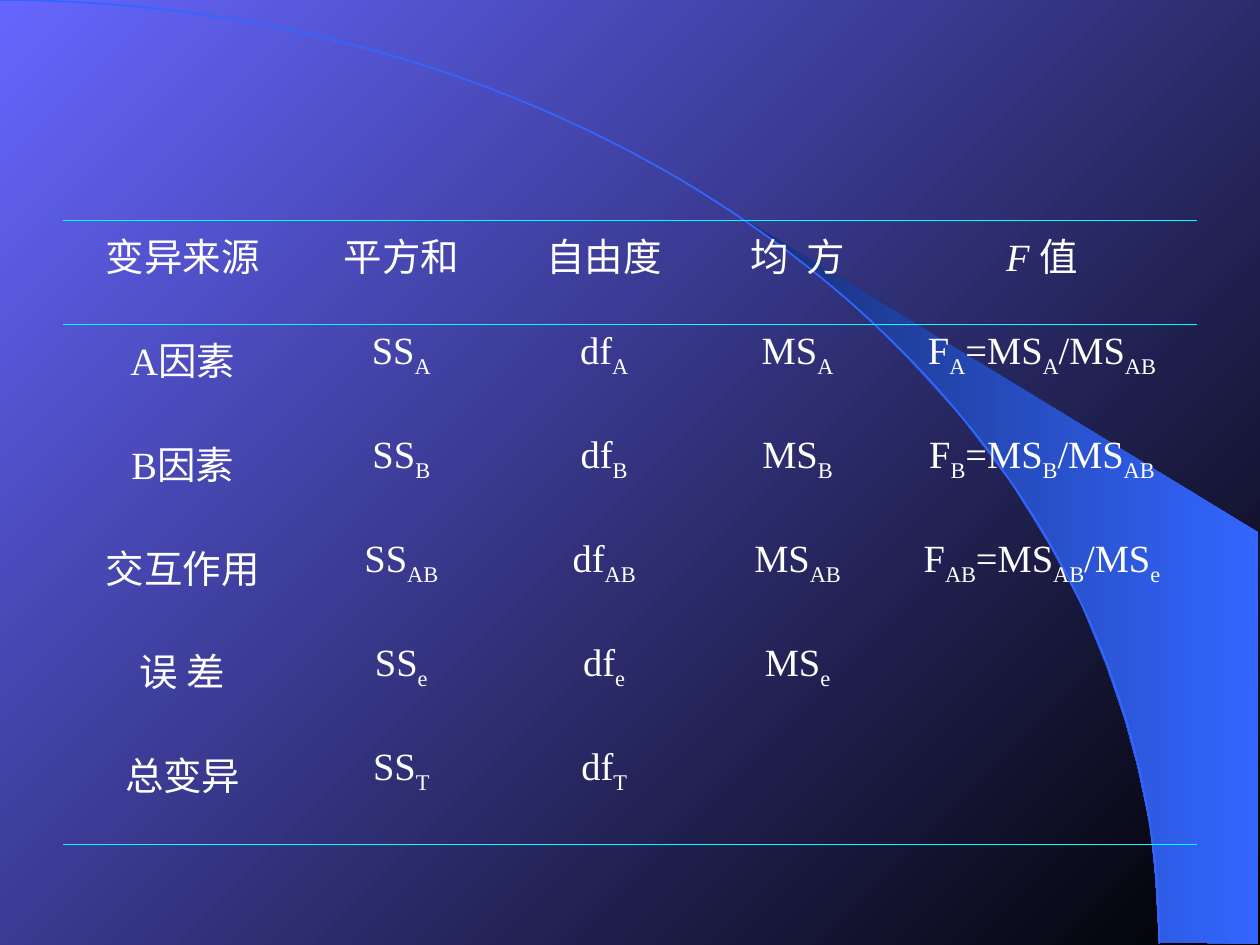
import math

from lxml import etree
from pptx import Presentation
from pptx.dml.color import RGBColor
from pptx.enum import text
from pptx.oxml import ns
from pptx.util import Inches, Pt

PERIWINKLE = RGBColor(0x66, 0x66, 0xFF)
BLACK = RGBColor(0, 0, 0)
NAVY = RGBColor(0x18, 0x2F, 0x76)
BLUE = RGBColor(0x33, 0x66, 0xFF)
CYAN = RGBColor(0, 0xFF, 0xFF)
WHITE = RGBColor(0xFF, 0xFF, 0xFF)

# The crescent's outline: right-hand edge, then down the curved inner side
CRESCENT = [
    (9.2, 7.48), (9.99, 7.49), (9.99, 4.23), (5.89, 1.73), (6.24, 1.99),
    (6.53, 2.22), (6.85, 2.5), (7.16, 2.8), (7.62, 3.3), (8.03, 3.84),
    (8.32, 4.31), (8.58, 4.79), (8.78, 5.28), (8.93, 5.72), (9.03, 6.09),
    (9.13, 6.56), (9.17, 6.96),
]
ARC_WIDTH, ARC_HEIGHT, ARC_STEPS = 9.2, 7.49, 90

# Text between tildes is italic in the header and subscript in the body
COLUMN_WIDTHS = [1.9, 1.57, 1.65, 1.42, 2.46]
TABLE_HEIGHT = 4.95
ANOVA = [
    ["变异来源", "平方和", "自由度", "均  方", "~F ~值"],
    ["A因素", "SS~A", "df~A", "MS~A", "F~A~=MS~A~/MS~AB"],
    ["B因素", "SS~B", "df~B", "MS~B", "F~B~=MS~B~/MS~AB"],
    ["交互作用", "SS~AB", "df~AB", "MS~AB", "F~AB~=MS~AB~/MS~e"],
    ["误 差", "SS~e", "df~e", "MS~e", ""],
    ["总变异", "SS~T", "df~T", "", ""],
]


def set_gradient(fill, start, end, angle):
    fill.gradient()
    fill.gradient_angle = angle
    for stop, color in zip(fill.gradient_stops, (start, end)):
        stop.color.rgb = color


def add_outline(slide, points, closed):
    points = [(Inches(x), Inches(y)) for x, y in points]
    builder = slide.shapes.build_freeform(*points[0])
    builder.add_line_segments(points[1:], close=closed)
    outline = builder.convert_to_shape()
    outline.shadow.inherit = False
    return outline


def add_backdrop(slide):
    set_gradient(slide.background.fill, PERIWINKLE, BLACK, 315)

    crescent = add_outline(slide, CRESCENT, True)
    set_gradient(crescent.fill, NAVY, BLUE, 0)
    crescent.line.fill.background()

    # Quarter ellipse from the top left corner to the bottom edge
    angles = [math.pi / 2 * step / ARC_STEPS for step in range(ARC_STEPS + 1)]
    arc = add_outline(slide, [(ARC_WIDTH * math.sin(a),
                               ARC_HEIGHT * (1 - math.cos(a))) for a in angles], False)
    arc.fill.background()
    arc.line.color.rgb = BLUE
    arc.line.width = Pt(1)


def set_borders(cell, ruled_sides):
    properties = cell._tc.get_or_add_tcPr()
    for index, side in enumerate("LRTB"):
        border = etree.Element(ns.qn(f"a:ln{side}"), w=str(Pt(0.45)))
        if side in ruled_sides:
            solid = etree.SubElement(border, ns.qn("a:solidFill"))
            etree.SubElement(solid, ns.qn("a:srgbClr"), val=str(CYAN))
        else:
            etree.SubElement(border, ns.qn("a:noFill"))
        properties.insert(index, border)


def write_entry(cell, entry, is_header):
    paragraph = cell.text_frame.paragraphs[0]
    paragraph.alignment = text.PP_ALIGN.CENTER
    paragraph.space_before = Pt(5.5)
    for index, piece in enumerate(entry.split("~")):
        if not piece:
            continue
        run = paragraph.add_run()
        run.text = piece
        run.font.name = "Times New Roman"
        run.font.size = Pt(22)
        run.font.color.rgb = WHITE
        if index % 2 and is_header:
            run.font.italic = True
        elif index % 2:
            run._r.get_or_add_rPr().set("baseline", "-25000")


def add_anova_table(slide):
    anova = slide.shapes.add_table(
        len(ANOVA), len(COLUMN_WIDTHS), Inches(0.5), Inches(1.75),
        Inches(sum(COLUMN_WIDTHS)), Inches(TABLE_HEIGHT)).table
    anova.first_row = False
    anova.horz_banding = False
    for column, width in zip(anova.columns, COLUMN_WIDTHS):
        column.width = Inches(width)

    # Rules above and below the header, and below the last row
    ruled = {0: "TB", 1: "T", len(ANOVA) - 1: "B"}
    for r, entries in enumerate(ANOVA):
        anova.rows[r].height = Inches(TABLE_HEIGHT / len(ANOVA))
        for c, entry in enumerate(entries):
            cell = anova.cell(r, c)
            cell.fill.background()
            set_borders(cell, ruled.get(r, ""))
            if entry:
                write_entry(cell, entry, r == 0)


def main():
    deck = Presentation()
    deck.slide_width, deck.slide_height = Inches(10), Inches(7.5)
    slide = deck.slides.add_slide(deck.slide_layouts[6])
    add_backdrop(slide)
    add_anova_table(slide)
    deck.save("out.pptx")


if __name__ == "__main__":
    main()
